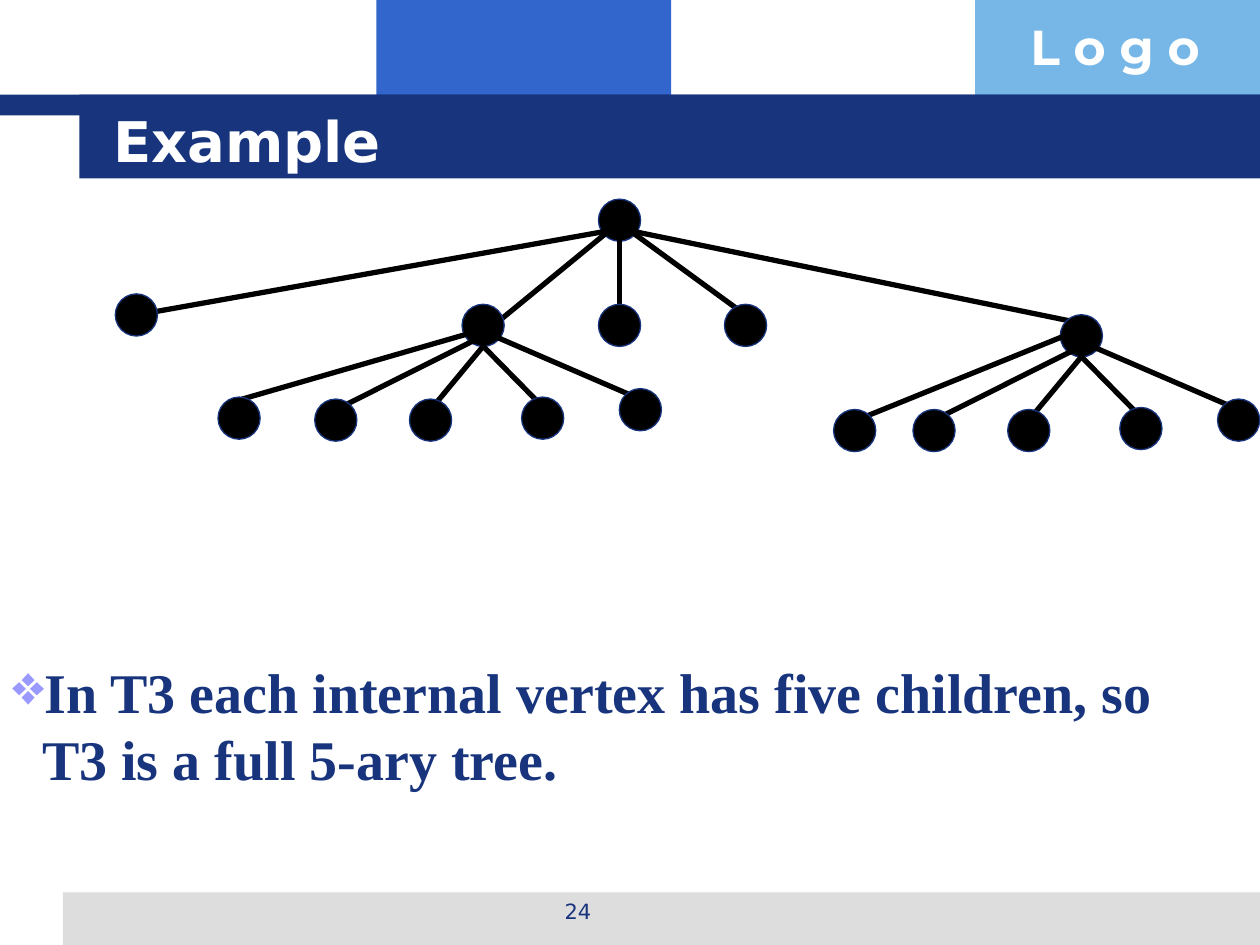
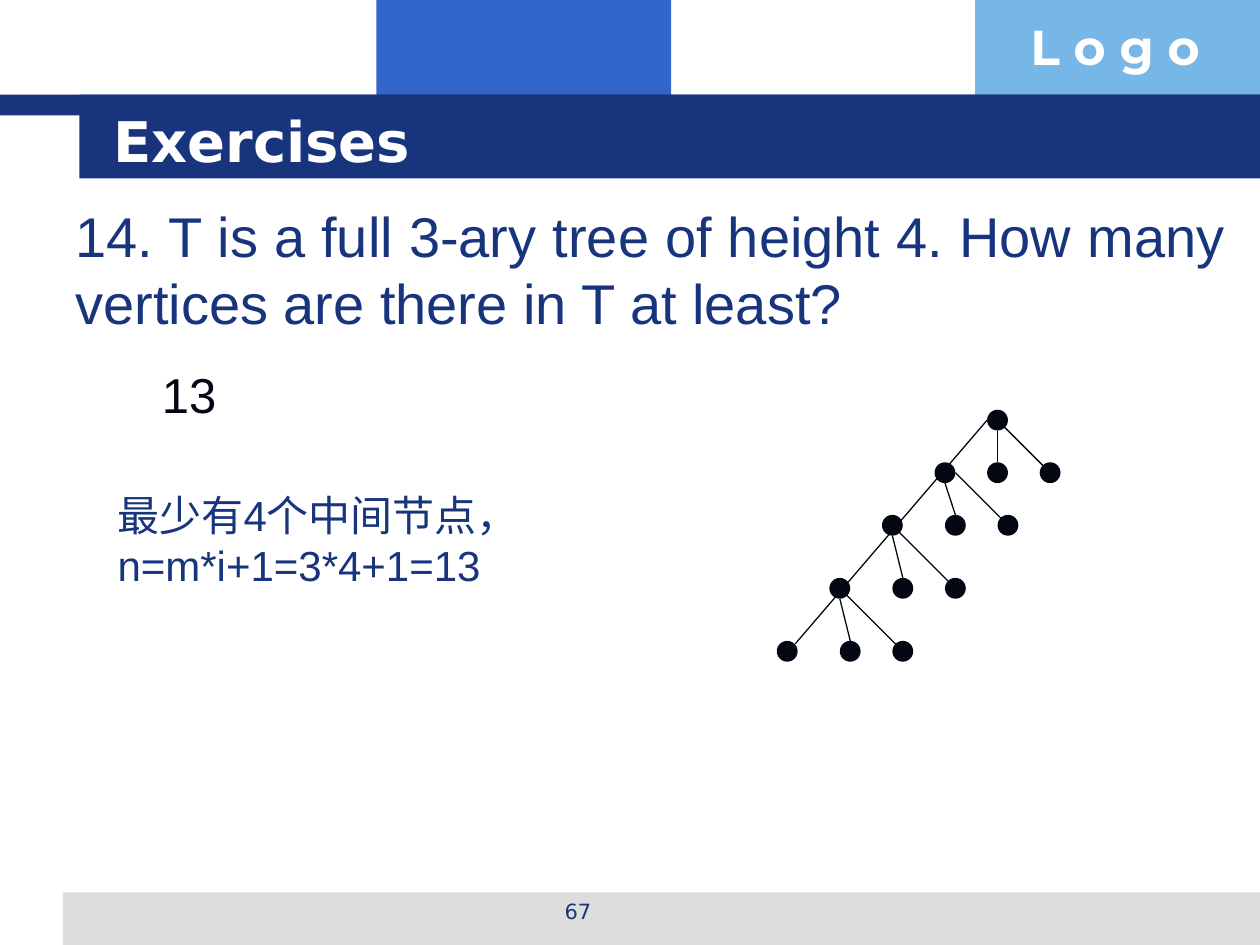
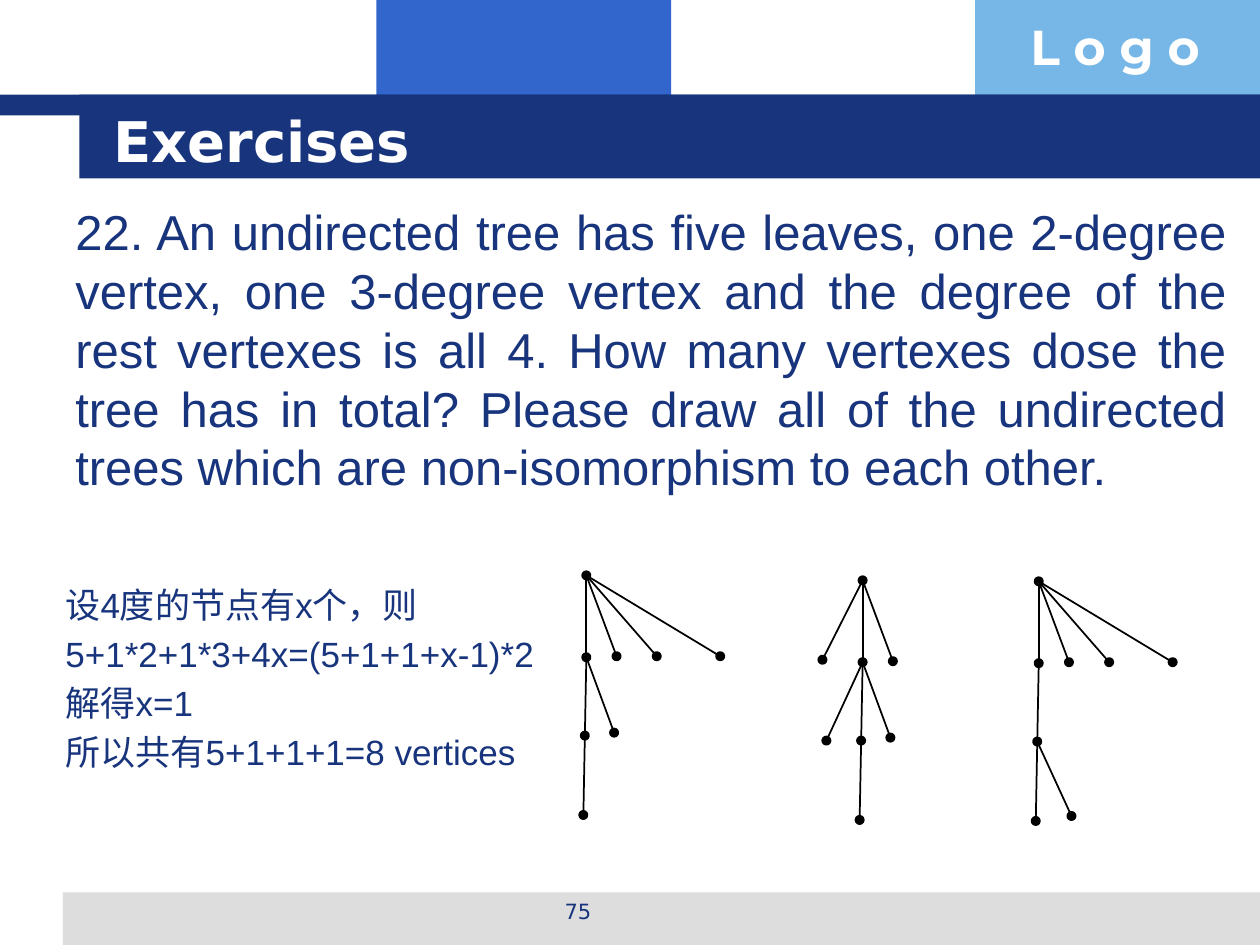
from typing import NamedTuple

from lxml.etree import SubElement
from pptx import Presentation
from pptx.dml.color import RGBColor
from pptx.enum.shapes import MSO_CONNECTOR, MSO_SHAPE as SHAPE
from pptx.enum.text import MSO_ANCHOR as ANCHOR, PP_ALIGN as ALIGN
from pptx.oxml.ns import qn
from pptx.util import Cm, Pt

NAVY = "17347D"
BLUE = "3366CC"
SKY = "77B7E7"
GREY = "DDDDDD"
LILAC = "9999FF"
WHITE = "FFFFFF"
BLACK = "000000"
INK = "030711"
SANS = "DejaVu Sans"


class TreeStyle(NamedTuple):
    size: float
    color: str
    edge: float
    outline: str = None
    outline_width: float = 0
    shape: SHAPE = SHAPE.OVAL


BIG_TREE = TreeStyle(0.85, BLACK, 3, NAVY, 0.75)
TERNARY_TREE = TreeStyle(0.42, INK, 0.75)
SMALL_TREE = TreeStyle(0.13, BLACK, 1, BLACK, 2, SHAPE.FLOWCHART_CONNECTOR)


def rgb(value):
    return RGBColor.from_string(value)


def add_box(shapes, x, y, w, h, fill=None, kind=SHAPE.RECTANGLE):
    sp = shapes.add_shape(kind, Cm(x), Cm(y), Cm(w), Cm(h))
    sp.shadow.inherit = False
    if fill:
        sp.fill.solid()
        sp.fill.fore_color.rgb = rgb(fill)
    else:
        sp.fill.background()
    sp.line.fill.background()
    return sp


def write(sp, lines, size, color=NAVY, font="Arial", bold=False,
          align=ALIGN.LEFT, anchor=ANCHOR.TOP, gap=0):
    tf = sp.text_frame
    tf.word_wrap = True
    tf.vertical_anchor = anchor
    tf.text = "\n".join(lines)
    for i, p in enumerate(tf.paragraphs):
        p.alignment = align
        if gap and i:
            p.space_before = Pt(gap)
        for r in p.runs:
            r.font.size = Pt(size)
            r.font.name = font
            r.font.bold = bold
            r.font.color.rgb = rgb(color)
    return tf


def add_text(s, x, y, w, h, lines, size, **style):
    sp = s.shapes.add_textbox(Cm(x), Cm(y), Cm(w), Cm(h))
    return write(sp, lines, size, **style)


def set_bullet(p, char, color, indent):
    pPr = p._p.get_or_add_pPr()
    pPr.set("marL", str(Cm(indent)))
    pPr.set("indent", str(-Cm(indent)))
    SubElement(SubElement(pPr, qn("a:buClr")), qn("a:srgbClr")).set("val", color)
    SubElement(pPr, qn("a:buChar")).set("char", char)


def add_line(shapes, x1, y1, x2, y2, color, width):
    line = shapes.add_connector(MSO_CONNECTOR.STRAIGHT, Cm(x1), Cm(y1), Cm(x2), Cm(y2))
    line.line.color.rgb = rgb(color)
    line.line.width = Pt(width)
    SubElement(line._element.spPr, qn("a:effectLst"))


def add_vertex(shapes, x, y, style):
    half = style.size / 2
    dot = add_box(shapes, x - half, y - half, style.size, style.size,
                  style.color, style.shape)
    if style.outline:
        dot.line.color.rgb = rgb(style.outline)
        dot.line.width = Pt(style.outline_width)


def add_branch(shapes, parent, children, style):
    """Each child: offset from the parent, then shifts of the edge's start and end."""
    px, py = parent
    for child in children:
        dx, dy, sx, sy, ex, ey = (*child, 0, 0, 0, 0)[:6]
        x, y = px + dx, py + dy
        add_line(shapes, px + sx, py + sy, x + ex, y + ey, style.color, style.edge)
        add_vertex(shapes, x, y, style)


def add_base(prs, title, number):
    s = prs.slides.add_slide(prs.slide_layouts[6])
    for x, y, w, h, fill in [(7.59, 0, 5.94, 2.34, BLUE), (19.66, 0, 5.74, 2.34, SKY),
                             (1.27, 17.99, 24.13, 1.06, GREY), (0, 1.91, 25.4, 0.42, NAVY),
                             (1.6, 1.91, 23.8, 1.69, NAVY)]:
        add_box(s.shapes, x, y, w, h, fill)
    add_text(s, 20.52, 0.2, 4.9, 1.45, ["L o g o"], 28, color=WHITE,
             font="Montserrat", bold=True)
    add_text(s, 2.03, 2.03, 21.67, 1.57, [title], 32, color=WHITE, font=SANS,
             bold=True, anchor=ANCHOR.MIDDLE)
    add_text(s, 8.69, 17.98, 5.92, 0.89, [number], 12, font=SANS, align=ALIGN.CENTER)
    return s


def add_five_ary_slide(prs):
    s = add_base(prs, "Example", "24")
    tf = add_text(s, 0, 13.13, 24.33, 2.97,
                  ["In T3 each internal vertex has five children, so T3 is a full 5-ary tree."],
                  32, font="Times New Roman", bold=True)
    set_bullet(tf.paragraphs[0], "❖", LILAC, 0.6)

    shapes = s.shapes.add_group_shape().shapes
    root = (12.49, 4.44)
    add_vertex(shapes, *root, BIG_TREE)
    add_branch(shapes, root, [(-9.74, 1.91, -0.21, 0.21),
                              (-2.75, 2.12, -0.21, 0.21, 0.21, 0),
                              (0, 2.12, 0, 0.21),
                              (2.54, 2.12, 0.21, 0.21, 0, -0.21),
                              (9.31, 2.33, 0.21, 0.21, 0.21, -0.21)], BIG_TREE)
    shared = [(-2.97, 1.91, 0, 0.21, 0, -0.21), (-1.06, 1.91, 0, 0.42, 0, -0.21),
              (1.2, 1.87, 0, 0.42, 0.06, -0.17), (3.17, 1.7, 0.21, 0.21, 0, -0.21)]
    for parent, first in [((9.74, 6.56), (-4.92, 1.87, -0.31, 0.17, 0.05, -0.38)),
                          ((21.8, 6.77), (-4.57, 1.91, -0.34, 0, 0.04, -0.21))]:
        add_branch(shapes, parent, [first, *shared], BIG_TREE)


def add_ternary_slide(prs):
    s = add_base(prs, "Exercises", "67")
    add_text(s, 1.27, 3.94, 23.7, 6.86,
             ["14. T is a full 3-ary tree of height 4. How many vertices are there in T at least?"],
             32, align=ALIGN.JUSTIFY)
    answer = add_box(s.shapes, 2.12, 7.2, 3.39, 1.48, kind=SHAPE.ROUNDED_RECTANGLE)
    write(answer, ["13"], 28, color=INK, align=ALIGN.CENTER, anchor=ANCHOR.MIDDLE)
    add_text(s, 2.12, 9.74, 9.31, 2.31, ["最少有4个中间节点，n=m*i+1=3*4+1=13"], 24)

    shapes = s.shapes.add_group_shape().shapes
    x, y = 20.11, 8.47
    add_line(shapes, x - 0.21, y, 16.03, 12.98, INK, TERNARY_TREE.edge)
    for drop, middle, right, start in [(1.06, 0, 1.06, 0), (1.06, 0.21, 1.27, 0.21),
                                       (1.27, 0.21, 1.27, 0), (1.27, 0.21, 1.27, 0)]:
        add_vertex(shapes, x, y, TERNARY_TREE)
        add_branch(shapes, (x, y), [(middle, drop, 0, 0.21, 0, -0.21),
                                    (right, drop, start, 0)], TERNARY_TREE)
        x, y = x - 1.06, y + drop
    add_vertex(shapes, x, y, TERNARY_TREE)


def add_undirected_slide(prs):
    s = add_base(prs, "Exercises", "75")
    add_text(s, 1.27, 3.94, 23.7, 13.56,
             ["22. An undirected tree has five leaves, one 2-degree vertex, one 3-degree vertex "
              "and the degree of the rest vertexes is all 4. How many vertexes dose the tree has "
              "in total? Please draw all of the undirected trees which are non-isomorphism to "
              "each other."], 28, align=ALIGN.JUSTIFY)
    add_text(s, 1.07, 11.63, 10.87, 5.05,
             ["设4度的节点有x个，则", "5+1*2+1*3+4x=(5+1+1+x-1)*2", "解得x=1",
              "所以共有5+1+1+1=8 vertices"], 20, gap=4)

    fan = [(0.61, 1.63), (1.42, 1.63), (2.7, 1.63), (0, 1.65)]
    stem, side, tip = (-0.03, 1.58), (0.56, 1.52), (-0.03, 1.6)
    trees = [((11.82, 11.6), [fan, [side, stem], [tip]]),
             ((17.39, 11.7), [[(-0.81, 1.6), (0.61, 1.63), (0, 1.65)],
                              [(-0.73, 1.58), side, stem], [tip]]),
             ((20.94, 11.72), [fan, [stem], [(0.69, 1.5), tip]])]
    for (x, y), levels in trees:
        shapes = s.shapes.add_group_shape().shapes
        add_vertex(shapes, x, y, SMALL_TREE)
        for children in levels:
            add_branch(shapes, (x, y), children, SMALL_TREE)
            dx, dy = children[-1]
            x, y = x + dx, y + dy


def main():
    prs = Presentation()
    prs.slide_width, prs.slide_height = Cm(25.4), Cm(19.05)
    add_five_ary_slide(prs)
    add_ternary_slide(prs)
    add_undirected_slide(prs)
    prs.save("out.pptx")


if __name__ == "__main__":
    main()
